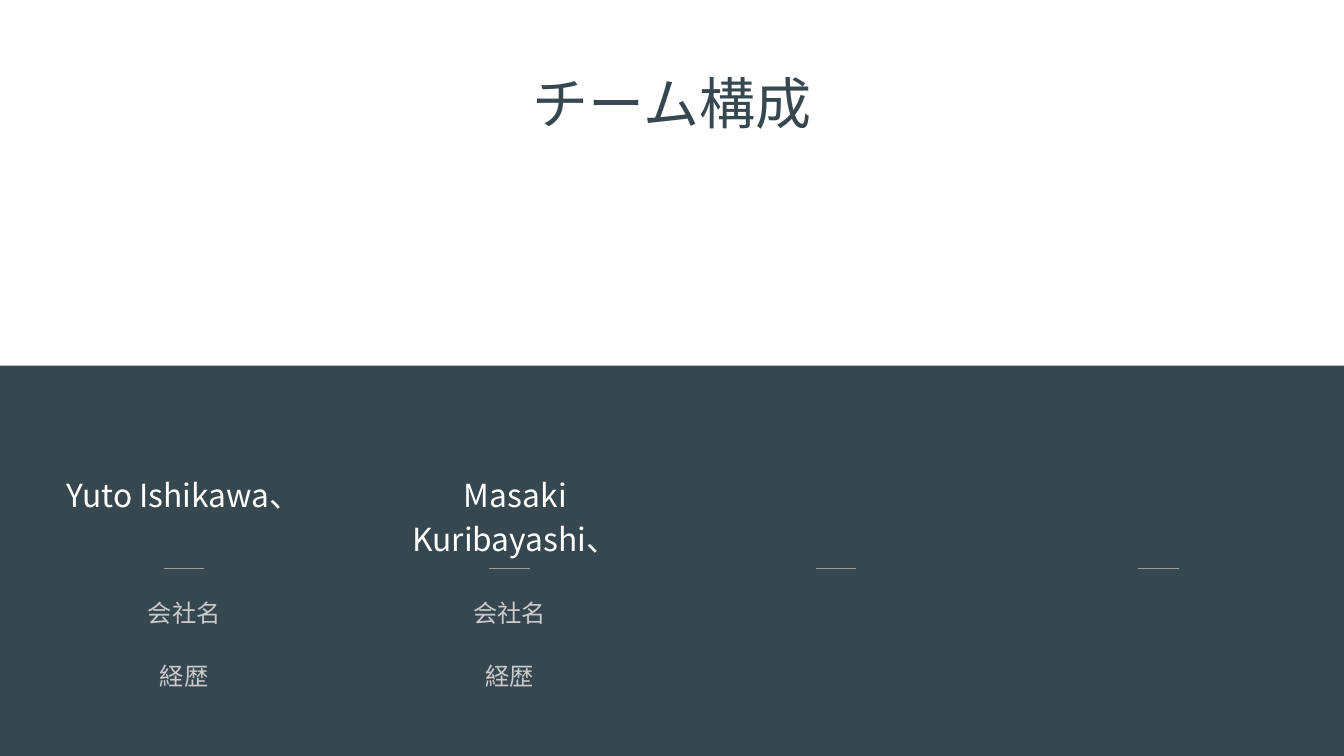
from dataclasses import dataclass

from lxml import etree
from pptx import Presentation
from pptx.dml.color import RGBColor
from pptx.enum.shapes import MSO_CONNECTOR, MSO_SHAPE
from pptx.enum.text import MSO_ANCHOR, MSO_AUTO_SIZE, PP_ALIGN
from pptx.oxml.ns import qn
from pptx.util import Inches, Pt


@dataclass(frozen=True)
class Theme:
    font: str = "Noto Sans CJK JP"
    slate: RGBColor = RGBColor(0x37, 0x47, 0x4F)
    white: RGBColor = RGBColor(0xFF, 0xFF, 0xFF)
    detail: RGBColor = RGBColor(0xCA, 0xCA, 0xCA)
    rule: RGBColor = RGBColor(0x9E, 0x9E, 0x9E)
    title_size: int = 30
    name_size: int = 17
    detail_size: int = 13


theme = Theme()


def write(shape, lines, size, color, spacing=1.0, after=0):
    """Fill a text shape with centred paragraphs in the theme font."""
    frame = shape.text_frame
    frame_format = {
        "word_wrap": True,
        "auto_size": MSO_AUTO_SIZE.NONE,
        "vertical_anchor": MSO_ANCHOR.TOP,
        "margin_left": Inches(0.1),
        "margin_right": Inches(0.1),
        "margin_top": Inches(0.1),
        "margin_bottom": Inches(0.1),
    }
    for key, value in frame_format.items():
        setattr(frame, key, value)
    frame.text = "\n".join(lines)
    for paragraph in frame.paragraphs:
        paragraph.alignment = PP_ALIGN.CENTER
        paragraph.line_spacing = spacing
        paragraph.space_before = Pt(0)
        paragraph.space_after = Pt(after)
        for run in paragraph.runs:
            run.font.name = theme.font
            run.font.size = Pt(size)
            run.font.color.rgb = color
            east_asian = etree.SubElement(run.font._element, qn("a:ea"))
            east_asian.set("typeface", theme.font)


# Widescreen slide, 16:9
deck = Presentation()
deck.slide_width = Inches(10)
deck.slide_height = Inches(10) * 9 // 16
slide = deck.slides.add_slide(deck.slide_layouts[5])
shapes = slide.shapes

# Dark background with a white band behind the title
slide.background.fill.solid()
slide.background.fill.fore_color.rgb = theme.slate
band = shapes.add_shape(MSO_SHAPE.RECTANGLE, 0, 0, Inches(10.02), Inches(2.72))
band.shadow.inherit = False
band.fill.solid()
band.fill.fore_color.rgb = theme.white
band.line.fill.background()
shapes.title._element.addprevious(band._element)

# Title
title = shapes.title
title.left, title.top = Inches(0.34), Inches(0.41)
title.width, title.height = Inches(9.32), Inches(0.8)
write(title, ["チーム構成"], theme.title_size, theme.slate)

# Members: names first, then company and career below
members = [("Yuto Ishikawa、", 0.18, 2.38), ("Masaki Kuribayashi、", 2.6, 2.47)]
for name, left, name_width in members:
    name_box = shapes.add_textbox(
        Inches(left), Inches(3.4), Inches(name_width), Inches(0.48))
    write(name_box, [name], theme.name_size, theme.white, spacing=1.15)
for _, left, _ in members:
    profile = shapes.add_textbox(
        Inches(left), Inches(4.32), Inches(2.38), Inches(1.26))
    write(profile, ["会社名", "経歴"], theme.detail_size, theme.detail,
          spacing=1.15, after=16)

# Short rules, one for each of the four columns
for left in (1.22, 3.64, 6.07, 8.47):
    rule = shapes.add_connector(
        MSO_CONNECTOR.STRAIGHT,
        Inches(left), Inches(4.23), Inches(left + 0.3), Inches(4.23))
    rule.line.color.rgb = theme.rule
    rule.line.width = Pt(0.75)
    etree.SubElement(rule._element.spPr, qn("a:effectLst"))

deck.save("out.pptx")
